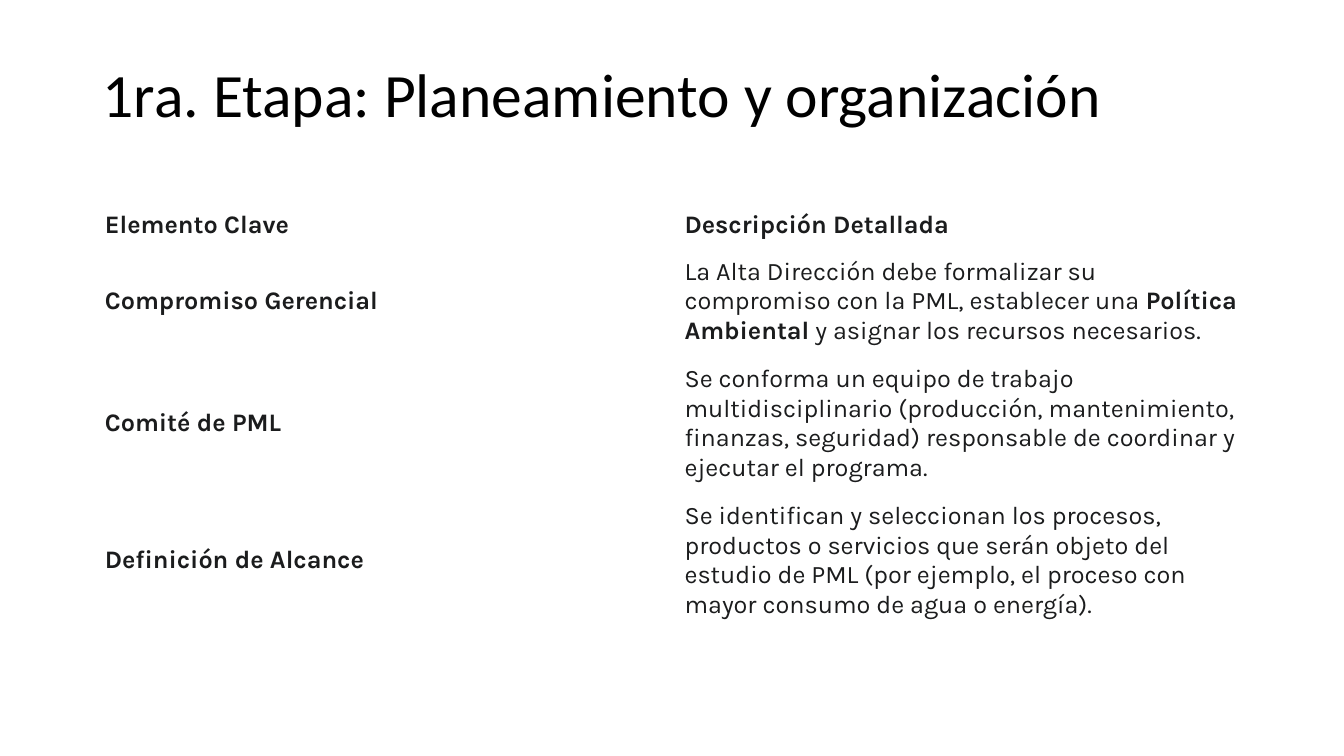
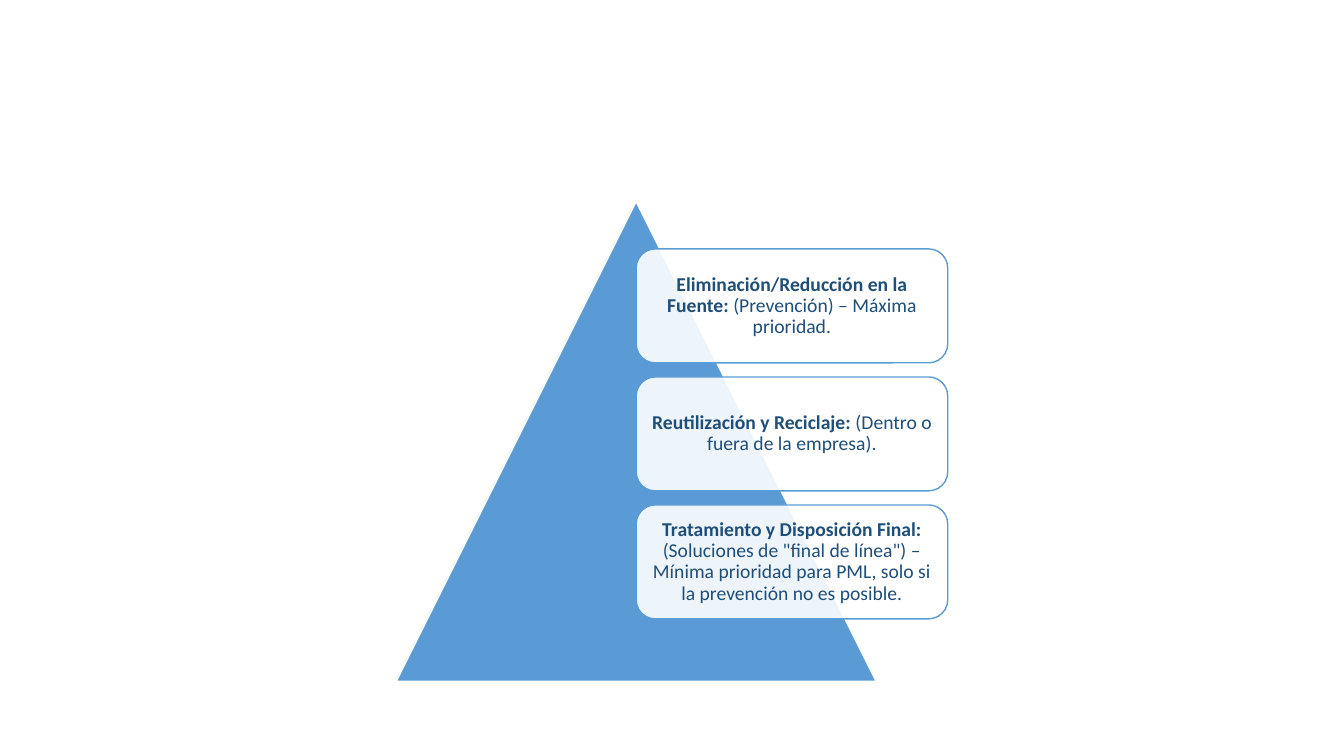
from pptx import Presentation
from pptx import util as u
from pptx.dml import color
from pptx.enum import shapes, text
from pptx.oxml import ns, xmlchemy

COLORS = {
    "white": "FFFFFF",
    "title": "000000",
    "table": "1B1C1D",
    "blue": "5B9BD5",
    "navy": "1F4E79",
}
TITLE_STYLE = dict(font="Calibri", size=44, ink="title", line_spacing=0.9)
TABLE_STYLE = dict(font="Karla", size=18, ink="table")
LEVEL_STYLE = dict(font="Calibri", size=14, ink="navy", line_spacing=0.9,
                   align=text.PP_ALIGN.CENTER)

HEADER = ("Elemento Clave", [("Descripción Detallada", True)])
ELEMENTS = [
    ("Compromiso Gerencial", [
        ("La Alta Dirección debe formalizar su compromiso con la PML, establecer una ", False),
        ("Política Ambiental", True),
        (" y asignar los recursos necesarios.", False)]),
    ("Comité de PML", [
        ("Se conforma un equipo de trabajo multidisciplinario (producción, mantenimiento, "
         "finanzas, seguridad) responsable de coordinar y ejecutar el programa.", False)]),
    ("Definición de Alcance", [
        ("Se identifican y seleccionan los procesos, productos o servicios que serán objeto "
         "del estudio de PML (por ejemplo, el proceso con mayor consumo de agua o energía).",
         False)]),
]
ROW_HEIGHTS = [0.46, 1.04, 1.34, 1.34]
LEVELS = [
    ("Eliminación/Reducción en la Fuente:", " (Prevención) – Máxima prioridad."),
    ("Reutilización y Reciclaje:", " (Dentro o fuera de la empresa)."),
    ("Tratamiento y Disposición Final:",
     ' (Soluciones de "final de línea") – Mínima prioridad para PML, '
     "solo si la prevención no es posible."),
]


def rgb(name):
    return color.RGBColor.from_string(COLORS[name])


def write(frame, spans, font, size, ink, line_spacing=1.0, align=text.PP_ALIGN.LEFT):
    frame.word_wrap = True
    para = frame.paragraphs[0]
    para.alignment = align
    para.line_spacing = line_spacing
    for words, bold in spans:
        span = para.add_run()
        span.text = words
        span.font.name = font
        span.font.size = u.Pt(size)
        span.font.bold = bold
        span.font.color.rgb = rgb(ink)


def add_title(page, words):
    box = page.shapes.add_textbox(u.Inches(0.92), u.Inches(0.4), u.Inches(11.5), u.Inches(1.14))
    box.text_frame.vertical_anchor = text.MSO_ANCHOR.MIDDLE
    write(box.text_frame, [(words, False)], **TITLE_STYLE)


def set_borders(cell, ink, points):
    properties = cell._tc.get_or_add_tcPr()
    for side in ("lnL", "lnR", "lnT", "lnB"):
        properties.append(xmlchemy.OxmlElement(f"a:{side}"))
        line = properties[-1]
        line.set("w", str(u.Pt(points)))
        fill = xmlchemy.OxmlElement("a:solidFill")
        tint = xmlchemy.OxmlElement("a:srgbClr")
        tint.set("val", COLORS[ink])
        fill.append(tint)
        line.append(fill)


def fill_cell(cell, spans):
    cell.vertical_anchor = text.MSO_ANCHOR.MIDDLE
    cell.margin_left = cell.margin_right = u.Inches(0.12)
    cell.margin_top = cell.margin_bottom = u.Inches(0.08)
    set_borders(cell, "white", 0.75)
    cell.fill.background()
    write(cell.text_frame, spans, **TABLE_STYLE)


def add_elements_table(page, rows):
    table = page.shapes.add_table(
        len(rows), 2, u.Inches(0.92), u.Inches(2), u.Inches(11.5),
        u.Inches(sum(ROW_HEIGHTS))).table
    table.horz_banding = False
    for row, height, (name, description) in zip(table.rows, ROW_HEIGHTS, rows):
        row.height = u.Inches(height)
        fill_cell(row.cells[0], [(name, True)])
        fill_cell(row.cells[1], description)


def add_figure(page, kind, left, top, width, height, fill, line, opacity=100):
    shape = page.shapes.add_shape(kind, *map(u.Inches, (left, top, width, height)))
    shape.shadow.inherit = False
    shape.fill.solid()
    shape.fill.fore_color.rgb = rgb(fill)
    if opacity < 100:
        alpha = xmlchemy.OxmlElement("a:alpha")
        alpha.set("val", str(opacity * 1000))
        shape._element.spPr.find(ns.qn("a:solidFill"))[0].append(alpha)
    shape.line.color.rgb = rgb(line)
    shape.line.width = u.Pt(1)
    return shape


def add_level(page, top, heading, detail):
    card = add_figure(page, shapes.MSO_SHAPE.ROUNDED_RECTANGLE, 6.31, top, 3.09, 1.13,
                      "white", "blue", opacity=90)
    frame = card.text_frame
    frame.vertical_anchor = text.MSO_ANCHOR.MIDDLE
    frame.margin_left = frame.margin_right = u.Inches(0.06)
    frame.margin_top = frame.margin_bottom = u.Inches(0.06)
    write(frame, [(heading, True), (detail, False)], **LEVEL_STYLE)


def add_pyramid(page):
    add_figure(page, shapes.MSO_SHAPE.ISOSCELES_TRIANGLE, 3.93, 2, 4.76, 4.76, "blue", "white")
    for index, (heading, detail) in enumerate(LEVELS):
        add_level(page, 2.47 + 1.27 * index, heading, detail)


def main():
    deck = Presentation()
    deck.slide_width, deck.slide_height = u.Inches(13.33), u.Inches(7.5)
    blank = deck.slide_layouts[6]

    stage = deck.slides.add_slide(blank)
    add_title(stage, "1ra. Etapa: Planeamiento y organización")
    add_elements_table(stage, [HEADER, *ELEMENTS])

    add_pyramid(deck.slides.add_slide(blank))
    deck.save("out.pptx")


if __name__ == "__main__":
    main()
